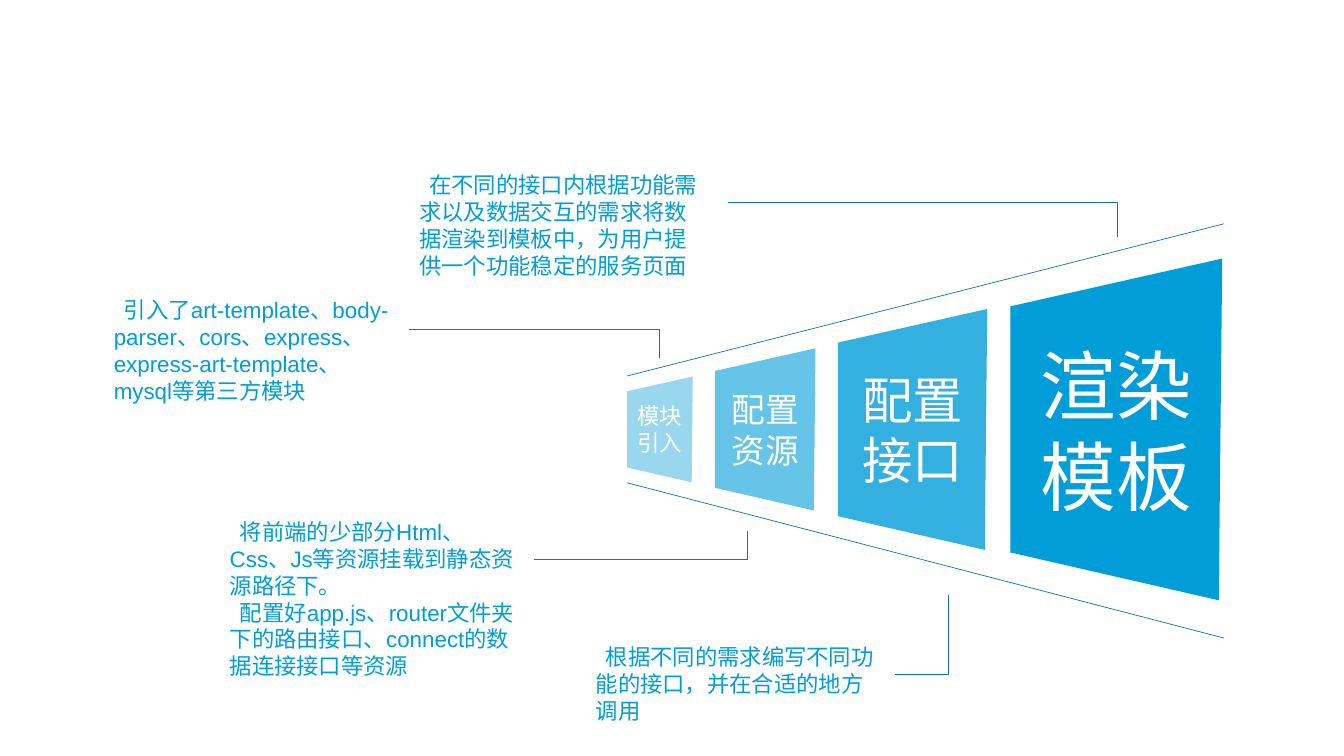
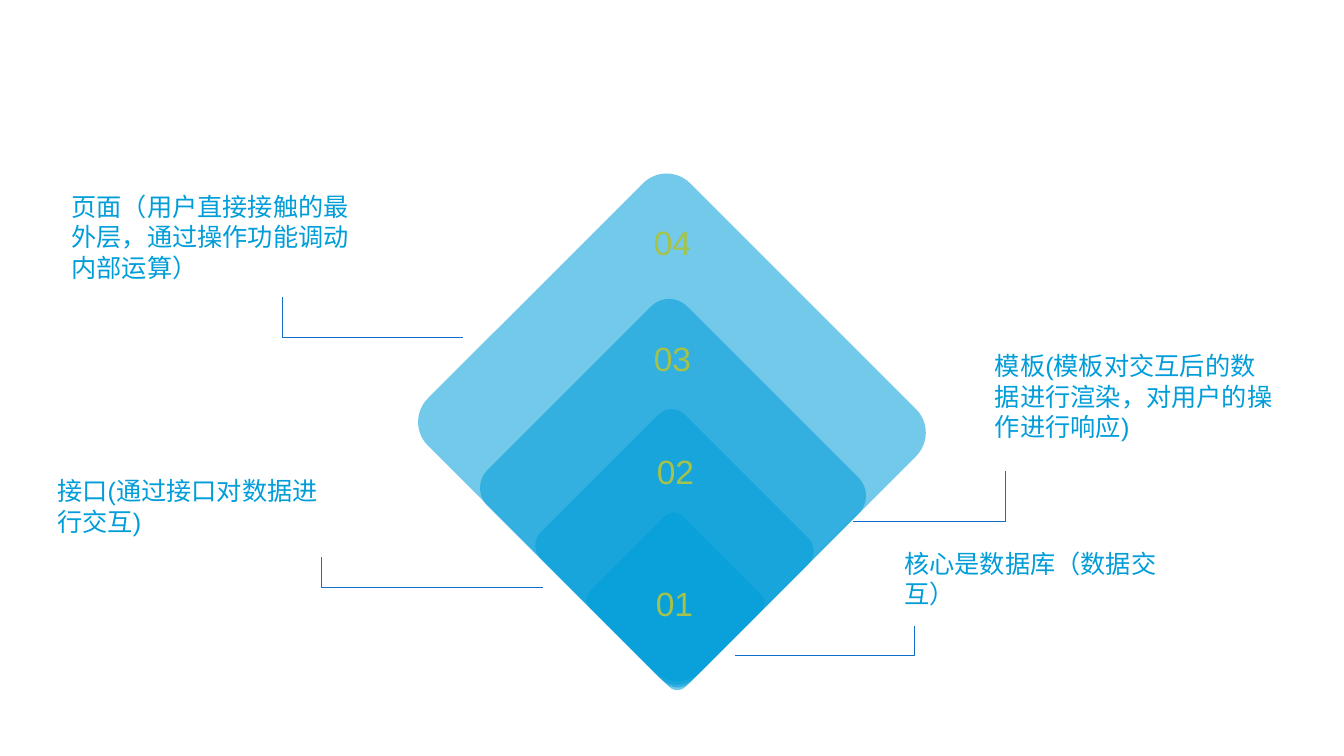
import dataclasses

import lxml.etree
import pptx
import pptx.dml.color
import pptx.enum.shapes
import pptx.enum.text
import pptx.oxml.ns
import pptx.util

Inches = pptx.util.Inches
Pt = pptx.util.Pt
Align = pptx.enum.text.PP_ALIGN
Anchor = pptx.enum.text.MSO_ANCHOR
Link = pptx.enum.shapes.MSO_CONNECTOR
qn = pptx.oxml.ns.qn


@dataclasses.dataclass(frozen=True)
class Theme:
    font: str = "Arial"
    blue: str = "009DD9"
    line: str = "0F6FC6"
    green: str = "A5C249"
    white: str = "FFFFFF"
    note: int = 16
    label: int = 18
    number: int = 24
    stroke: float = 0.5


theme = Theme()
rgb = pptx.dml.color.RGBColor.from_string


def write(frame, lines, size, tint, align=Align.LEFT, indent=0):
    """Fill a text frame with one paragraph per line; indent is in inches."""
    frame.word_wrap = True
    for i, line in enumerate(lines):
        para = frame.add_paragraph() if i else frame.paragraphs[0]
        para.alignment = align
        if indent:
            para._p.get_or_add_pPr().set("indent", str(Inches(indent)))
        run = para.add_run()
        run.text = line
        run.font.name = theme.font
        run.font.size = Pt(size)
        run.font.color.rgb = rgb(tint)


def paint(shape, alpha):
    """Give a shape the flat blue fill at the given percent of opacity."""
    shape.shadow.inherit = False
    shape.line.fill.background()
    shape.fill.solid()
    shape.fill.fore_color.rgb = rgb(theme.blue)
    tint = shape.element.spPr.find(".//" + qn("a:srgbClr"))
    lxml.etree.SubElement(tint, qn("a:alpha")).set("val", str(alpha * 1000))


deck = pptx.Presentation()
deck.slide_width = Inches(13.33)
deck.slide_height = Inches(7.5)
steps, layers = [deck.slides.add_slide(deck.slide_layouts[6]) for _ in range(2)]

# Growing panels, all of one shape and centred on one axis
axis = 4.26
panels = [
    # label, left, height, type size, opacity
    ("配置接口", 8.31, 2.39, 36, 80),
    ("配置资源", 7.09, 1.61, 24, 60),
    ("模块引入", 6.22, 1.05, 16, 40),
    ("渲染模板", 10.02, 3.39, 54, 100),
]
for label, left, high, size, alpha in panels:
    right = left + 0.62 * high
    far, near = high / 2, 0.72 * high / 2
    pen = steps.shapes.build_freeform(Inches(right), Inches(axis - far))
    pen.add_line_segments([
        (Inches(left), Inches(axis - near)),
        (Inches(left), Inches(axis + near)),
        (Inches(right - 0.01 * high), Inches(axis + far)),
    ])
    panel = pen.convert_to_shape()
    paint(panel, alpha)
    frame = panel.text_frame
    frame.margin_left = frame.margin_right = Inches(0.05)
    frame.vertical_anchor = Anchor.MIDDLE
    write(frame, [label], size, theme.white, Align.CENTER)

# Nested diamonds, each a turned round rectangle
diamonds = [
    # left, top, width, height
    (4.75, 2.4, 3.83, 3.68),
    (5.22, 3.48, 2.91, 2.8),
    (5.64, 4.43, 2.1, 2.02),
    (6.03, 5.32, 1.34, 1.29),
]
for box in diamonds:
    diamond = layers.shapes.add_shape(
        pptx.enum.shapes.MSO_SHAPE.ROUNDED_RECTANGLE, *map(Inches, box))
    diamond.adjustments[0] = 0.09
    diamond.rotation = 45
    paint(diamond, 55)

numbers = [("01", 6.31, 5.73), ("02", 6.32, 4.42), ("03", 6.29, 3.3), ("04", 6.29, 2.15)]
for text, left, top in numbers:
    box = layers.shapes.add_textbox(
        Inches(left), Inches(top), Inches(0.76), Inches(0.51))
    write(box.text_frame, [text], theme.number, theme.green, Align.CENTER)

# Notes beside both figures
notes = [
    # slide, type size, indent, left, top, height, lines
    (steps, theme.note, 0.1, 1.03, 2.89, 1.45, [
        "引入了art-template、body-parser、cors、express、express-art-template、mysql等第三方模块"]),
    (steps, theme.note, 0.1, 2.18, 5.09, 1.72, [
        "将前端的少部分Html、Css、Js等资源挂载到静态资源路径下。",
        "配置好app.js、router文件夹下的路由接口、connect的数据连接接口等资源"]),
    (steps, theme.note, 0.1, 4.06, 1.65, 1.18, [
        "在不同的接口内根据功能需求以及数据交互的需求将数据渲染到模板中，为用户提供一个功能稳定的服务页面"]),
    (steps, theme.note, 0.1, 5.81, 6.33, 0.91, [
        "根据不同的需求编写不同功能的接口，并在合适的地方调用"]),
    (layers, theme.label, 0, 0.61, 1.85, 1.01, [
        "页面（用户直接接触的最外层，通过操作功能调动内部运算）"]),
    (layers, theme.label, 0, 0.47, 4.67, 0.71, ["接口(通过接口对数据进行交互)"]),
    (layers, theme.label, 0, 9.77, 3.43, 1.01, [
        "模板(模板对交互后的数据进行渲染，对用户的操作进行响应)"]),
    (layers, theme.label, 0, 8.87, 5.39, 0.71, ["核心是数据库（数据交互）"]),
]
for slide, size, indent, left, top, high, lines in notes:
    box = slide.shapes.add_textbox(
        Inches(left), Inches(top), Inches(3.02), Inches(high))
    write(box.text_frame, lines, size, theme.blue, indent=indent)

# Rails and leader lines; bend is the share of the width where an elbow turns
links = [
    # slide, start, end, bend
    (steps, (6.22, 3.73), (12.14, 2.22), None),
    (steps, (6.22, 4.79), (12.14, 6.33), None),
    (steps, (4.06, 3.27), (6.54, 3.55), 1),
    (steps, (7.22, 2.01), (11.08, 2.35), 1),
    (steps, (5.3, 5.55), (7.41, 5.27), 1),
    (steps, (8.88, 6.69), (9.41, 5.9), 1),
    (layers, (2.8, 2.95), (4.59, 3.35), 0),
    (layers, (3.19, 5.53), (5.39, 5.83), 0),
    (layers, (7.29, 6.5), (9.07, 6.21), 1),
    (layers, (8.46, 5.17), (9.97, 4.67), 1),
]
for slide, start, end, bend in links:
    kind = Link.STRAIGHT if bend is None else Link.ELBOW
    link = slide.shapes.add_connector(kind, *map(Inches, start + end))
    link.line.color.rgb = rgb(theme.line)
    link.line.width = Pt(theme.stroke)
    props = link.element.spPr
    lxml.etree.SubElement(props, qn("a:effectLst"))
    if bend is not None:
        guide = lxml.etree.SubElement(props.find(".//" + qn("a:avLst")), qn("a:gd"))
        guide.set("name", "adj1")
        guide.set("fmla", f"val {bend * 100000}")

deck.save("out.pptx")
